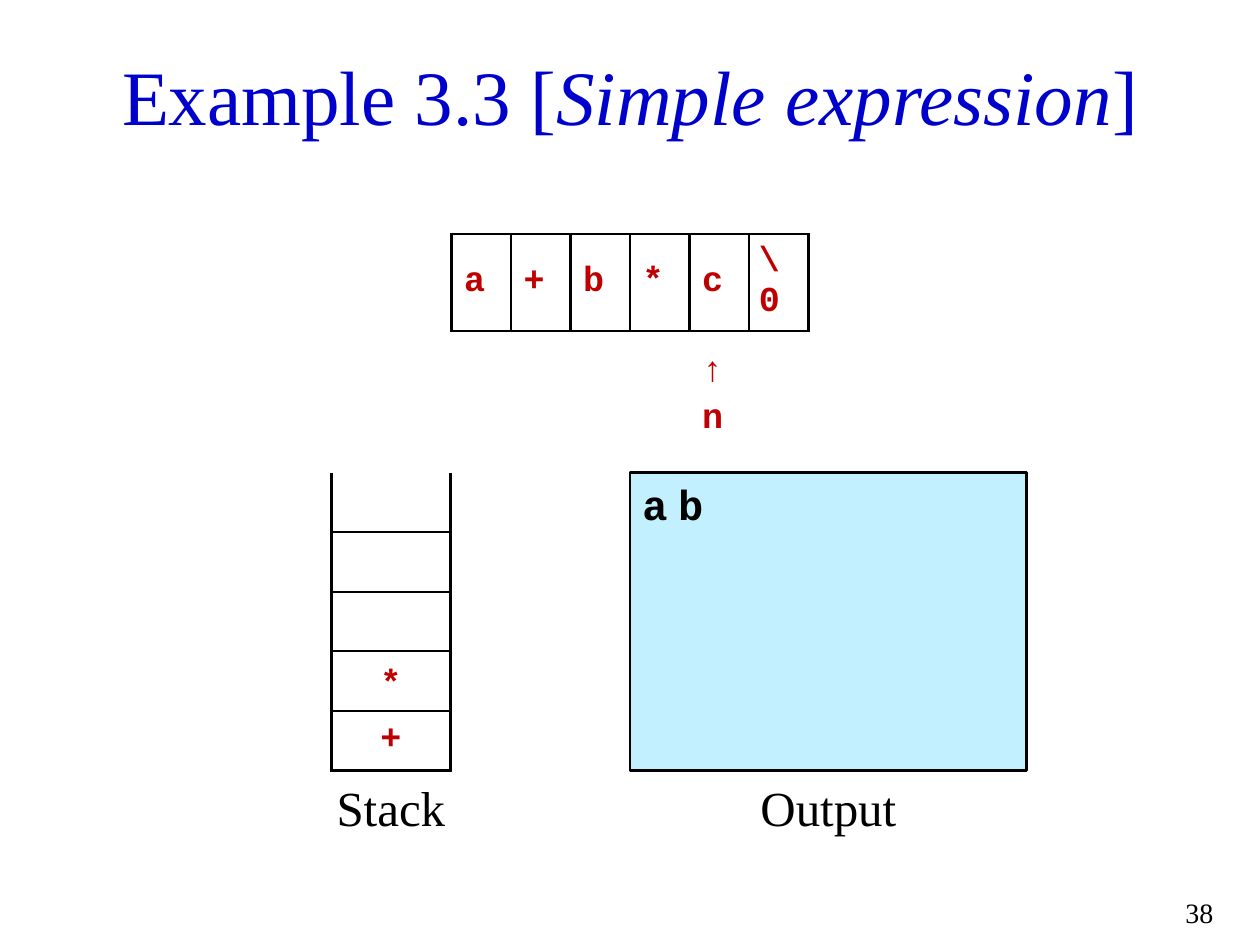
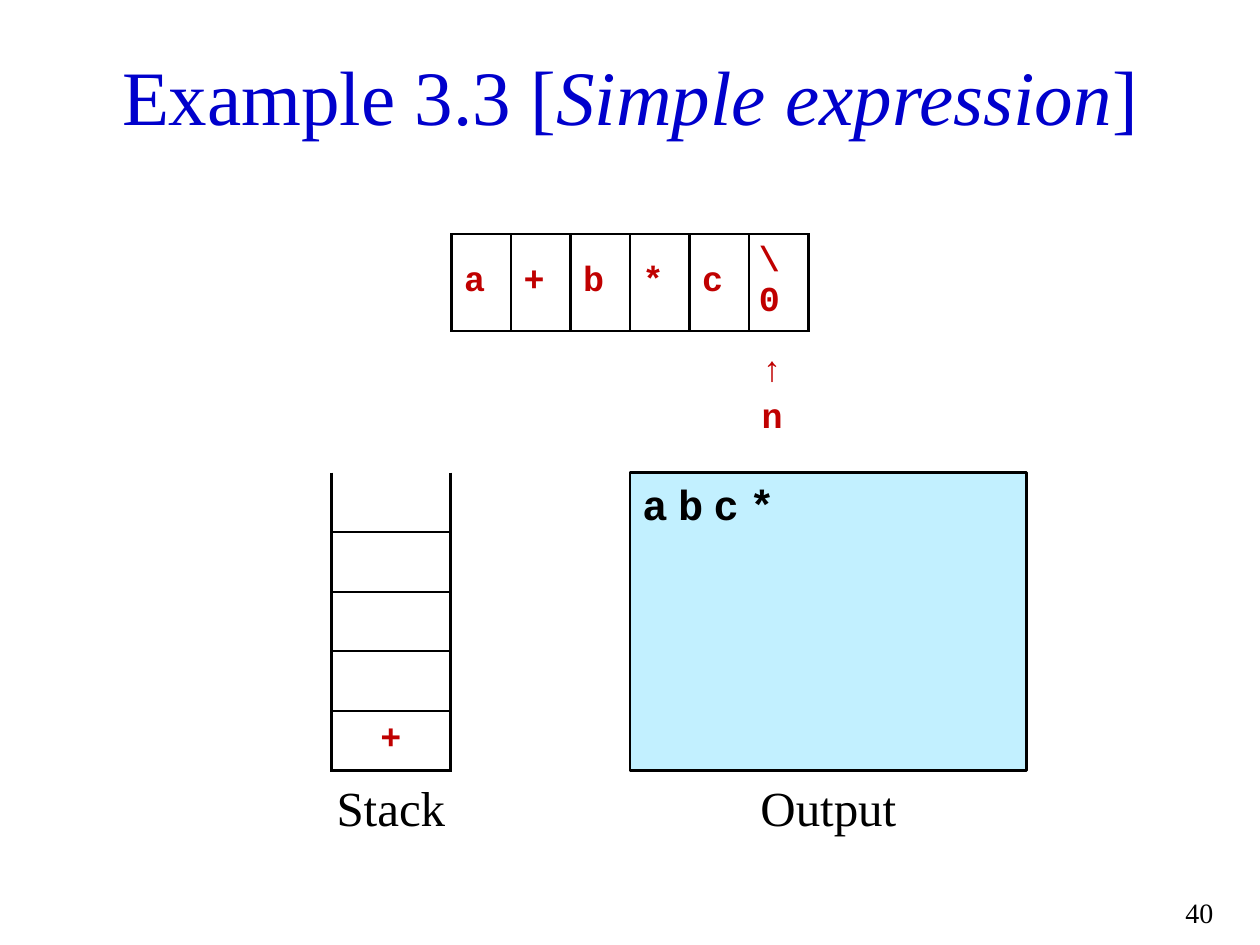
from dataclasses import dataclass

from lxml import etree
from pptx import Presentation
from pptx.dml.color import RGBColor
from pptx.enum import shapes, text
from pptx.oxml.ns import qn
from pptx.util import Emu, Pt

SCALE = 3600  # EMU in one px, a tenth of a millimetre
CELL = 120

EXPRESSION = ["a", "+", "b", "*", "c", "\\0"]
STACK_DEPTH = 5
# page number, index of the cell under n, stack from the bottom up, output so far
STEPS = [
    (38, 4, ["+", "*"], "ab"),
    (40, 5, ["+"], "abc*"),
]

LEFT, CENTER, RIGHT = text.PP_ALIGN.LEFT, text.PP_ALIGN.CENTER, text.PP_ALIGN.RIGHT
TOP, MIDDLE, BOTTOM = (text.MSO_ANCHOR.TOP, text.MSO_ANCHOR.MIDDLE,
                       text.MSO_ANCHOR.BOTTOM)


@dataclass(frozen=True)
class Theme:
    serif: str = "Times New Roman"
    mono: str = "Courier New"
    title: str = "0000CC"
    ink: str = "000000"
    symbol: str = "C00000"
    panel: str = "C2F0FF"
    title_size: int = 44
    label_size: int = 28
    output_size: int = 24
    symbol_size: int = 20
    number_size: int = 16
    line: float = 1.5
    letter_gap: int = 600  # hundredths of a point


def px(*lengths):
    return [Emu(length * SCALE) for length in lengths]


class Painter:
    def __init__(self, deck, theme):
        self.deck = deck
        self.theme = theme
        self.page = None

    def new_page(self):
        self.page = self.deck.slides.add_slide(self.deck.slide_layouts[6])

    def style(self, para, size, color, name, bold=False, align=LEFT):
        para.alignment = align
        font = para.font
        font.size, font.name, font.bold = Pt(size), name, bold
        font.color.rgb = RGBColor.from_string(color)

    def text_box(self, at, spans, size, color, align=CENTER, anchor=TOP):
        """Add a serif text box; every second span is italic."""
        frame = self.page.shapes.add_textbox(*px(*at)).text_frame
        frame.word_wrap = True
        frame.vertical_anchor = anchor
        para = frame.paragraphs[0]
        for index, words in enumerate(spans):
            span = para.add_run()
            span.text = words
            if index % 2:
                span.font.italic = True
        self.style(para, size, color, self.theme.serif, align=align)

    def panel(self, at, letters):
        theme = self.theme
        box = self.page.shapes.add_shape(shapes.MSO_SHAPE.RECTANGLE, *px(*at))
        box.shadow.inherit = False
        box.fill.solid()
        box.fill.fore_color.rgb = RGBColor.from_string(theme.panel)
        box.line.color.rgb = RGBColor.from_string(theme.ink)
        box.line.width = Pt(theme.line)
        frame = box.text_frame
        frame.word_wrap = True
        frame.vertical_anchor = TOP
        para = frame.paragraphs[0]
        span = para.add_run()
        span.text = letters
        span.font._element.set("spc", str(theme.letter_gap))
        self.style(para, theme.output_size, theme.ink, theme.mono, bold=True)

    def table(self, left, top, rows, columns, width):
        frame = self.page.shapes.add_table(
            rows, columns, *px(left, top, columns * width, rows * CELL))
        table = frame.table
        table.first_row = table.horz_banding = False
        for column in table.columns:
            column.width = px(width)[0]
        for row in table.rows:
            row.height = px(CELL)[0]
        return table

    def cell(self, cell, words="", sides="LRTB", align=LEFT, anchor=MIDDLE):
        """Fill in one cell and rule only the named sides."""
        theme = self.theme
        cell.fill.background()
        cell.vertical_anchor = anchor
        if words:
            cell.text = words
            self.style(cell.text_frame.paragraphs[0], theme.symbol_size,
                       theme.symbol, theme.mono, bold=True, align=align)
        properties = cell._tc.get_or_add_tcPr()
        for index, side in enumerate("LRTB"):
            line = etree.Element(qn(f"a:ln{side}"), w=str(Pt(theme.line)))
            if side in sides:
                fill = etree.SubElement(line, qn("a:solidFill"))
                etree.SubElement(fill, qn("a:srgbClr"), val=theme.ink)
            else:
                etree.SubElement(line, qn("a:noFill"))
            properties.insert(index, line)

    def expression(self, left, top, pointer):
        """Draw the input string with an arrow and n below the current symbol."""
        table = self.table(left, top, 3, len(EXPRESSION), CELL)
        for column, symbol in enumerate(EXPRESSION):
            here = column == pointer
            self.cell(table.cell(0, column), symbol)
            self.cell(table.cell(1, column), "↑" if here else "", sides="T")
            self.cell(table.cell(2, column), "n" if here else "", sides="", anchor=TOP)
        end = table.cell(0, len(EXPRESSION) - 1)
        end.margin_left = end.margin_right = px(20)[0]
        arrow = table.cell(1, pointer)
        arrow.margin_top, arrow.margin_bottom = px(40, 0)

    def stack(self, left, top, symbols):
        table = self.table(left, top, STACK_DEPTH, 1, 2 * CELL)
        for row in range(STACK_DEPTH):
            height = STACK_DEPTH - 1 - row
            symbol = symbols[height] if height < len(symbols) else ""
            self.cell(table.cell(row, 0), symbol, sides="LRTB" if row else "LRB",
                      align=CENTER, anchor=BOTTOM if symbol == "*" else MIDDLE)

    def label(self, middle, width, words):
        self.text_box((middle - width // 2, 1554, width, 160), [words],
                      self.theme.label_size, self.theme.ink)


def draw_step(painter, number, pointer, symbols, output):
    theme = painter.theme
    painter.new_page()
    painter.text_box((110, 71, 2320, 240),
                     ["Example 3.3 [", "Simple expression", "]"],
                     theme.title_size, theme.title, anchor=MIDDLE)
    painter.text_box((2311, 1793, 160, 82), [str(number)],
                     theme.number_size, theme.ink, align=RIGHT)
    painter.expression(910, 472, pointer)
    painter.stack(668, 953, symbols)
    painter.panel((1270, 953, 800, 600), output)
    painter.label(1670, 400, "Output")
    painter.label(788, 320, "Stack")


def main():
    deck = Presentation()
    deck.slide_width, deck.slide_height = px(2540, 1905)
    painter = Painter(deck, Theme())
    for step in STEPS:
        draw_step(painter, *step)
    deck.save("out.pptx")


if __name__ == "__main__":
    main()
